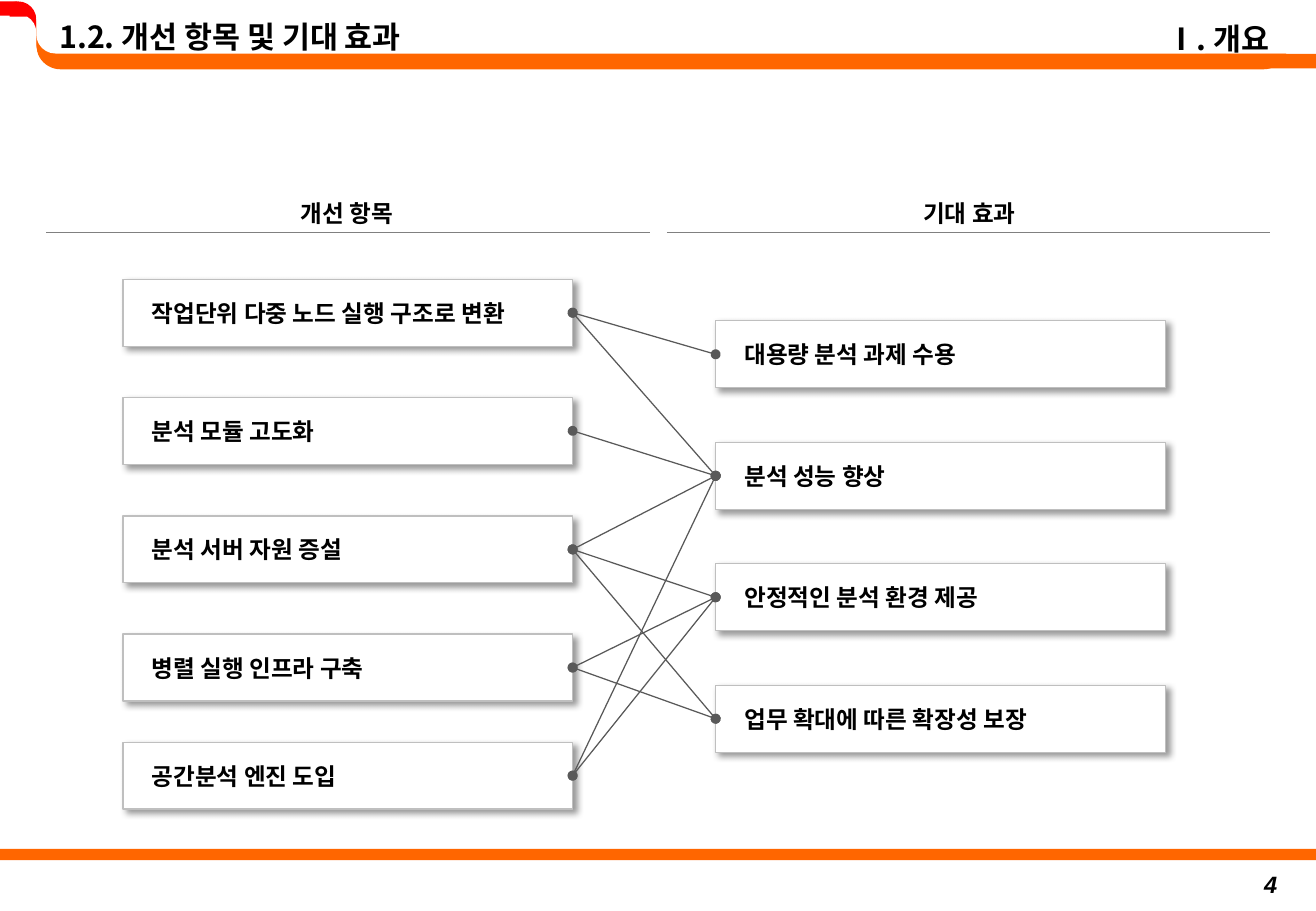
from lxml import etree
from pptx import Presentation
from pptx import util as u
from pptx.dml.color import RGBColor
from pptx.enum import shapes, text
from pptx.oxml import ns

# Content
TITLE = "1.2. 개선 항목 및 기대 효과"
CHAPTER = "Ⅰ. 개요"
PAGE = "4"
IMPROVEMENTS = {
    "heading": "개선 항목", "heading_left": 2.08, "rule": (0.97, 13.59),
    "box_left": 2.57, "tops": [5.84, 8.31, 10.79, 13.26, 15.52],
    "items": ["작업단위 다중 노드 실행 구조로 변환", "분석 모듈 고도화",
              "분석 서버 자원 증설", "병렬 실행 인프라 구축", "공간분석 엔진 도입"],
}
EFFECTS = {
    "heading": "기대 효과", "heading_left": 15.09, "rule": (13.94, 26.54),
    "box_left": 14.96, "tops": [6.71 + 2.54 * row for row in range(4)],
    "items": ["대용량 분석 과제 수용", "분석 성능 향상",
              "안정적인 분석 환경 제공", "업무 확대에 따른 확장성 보장"],
}
# Effects reached by each improvement, by position
LINKS = [(0, 1), (1,), (1, 2, 3), (2, 3), (1, 2)]

RED, ORANGE, WHITE, BLACK = "FF0000", "FF6600", "FFFFFF", "000000"
GRAY, BORDER, LINK = "808080", "BFBFBF", "595959"
KOREAN = "Noto Sans CJK KR"
BOX_WIDTH, BOX_HEIGHT = 9.4, 1.4
RULE_TOP = 4.86
PAD = (0.25, 0.13, 0.25, 0.13)
SLIDE_WIDTH = 27.51

# Frame bands: left, top, width, height, colour, corner, rotation
BANDS = [
    (0, 0.03, 0.76, 1.35, RED, 0.5, 0),
    (0, 0.3, 0.76, 1.19, WHITE, 0.5, 0),
    (0.76, 0.03, 26.16, 1.42, ORANGE, 0.357, 0),
    (0.76, 0, 26.75, 1.12, WHITE, 0.357, 0),
    (25.2, 1.13, 2.31, 0.3, ORANGE, None, 0),
    (0, 0.3, 0.48, 0.99, WHITE, None, 0),
    (0, 0.03, 0.36, 0.3, RED, None, 0),
    (0.2, 0.15, 0.36, 0.2, RED, None, 0),
    (0.3, 0.97, 0.48, 0.28, WHITE, None, 349.4),
    (0, 17.75, SLIDE_WIDTH, 0.24, ORANGE, None, 0),
]

presentation = Presentation()
presentation.slide_width, presentation.slide_height = u.Cm(SLIDE_WIDTH), u.Cm(19.05)
slide = presentation.slides.add_slide(presentation.slide_layouts[6])


def color(value):
    return RGBColor.from_string(value)


def add_child(parent, tag, **attributes):
    return etree.SubElement(parent, ns.qn(tag), attributes)


def add_block(left, top, width, height, fill, corner=None, rotation=0):
    kind = shapes.MSO_SHAPE.RECTANGLE if corner is None else shapes.MSO_SHAPE.ROUNDED_RECTANGLE
    shape = slide.shapes.add_shape(kind, u.Cm(left), u.Cm(top), u.Cm(width), u.Cm(height))
    if corner is not None:
        shape.adjustments[0] = corner
    shape.rotation = rotation
    shape.shadow.inherit = False
    shape.fill.solid()
    shape.fill.fore_color.rgb = color(fill)
    shape.line.fill.background()
    return shape


def write(shape, words, size, font=KOREAN, align=text.PP_ALIGN.LEFT,
          anchor=text.MSO_ANCHOR.TOP, pad=PAD, wrap=True, italic=False):
    frame = shape.text_frame
    frame.word_wrap = wrap
    frame.vertical_anchor = anchor
    frame.margin_left, frame.margin_top, frame.margin_right, frame.margin_bottom = map(u.Cm, pad)
    paragraph = frame.paragraphs[0]
    paragraph.alignment = align
    run = paragraph.add_run()
    run.text = words
    run.font.name, run.font.size = font, u.Pt(size)
    run.font.bold, run.font.italic = True, italic
    run.font.color.rgb = color(BLACK)
    add_child(run.font._element, "a:ea", typeface=KOREAN)


def add_text(left, top, width, height, words, size, **style):
    box = slide.shapes.add_textbox(u.Cm(left), u.Cm(top), u.Cm(width), u.Cm(height))
    write(box, words, size, **style)


def add_line(start, end, line_color, width):
    line = slide.shapes.add_connector(shapes.MSO_CONNECTOR.STRAIGHT, *map(u.Cm, start + end))
    line.line.color.rgb = color(line_color)
    line.line.width = u.Pt(width)
    add_child(line._element.spPr, "a:effectLst")
    return line


def add_item(left, top, words):
    box = add_block(left, top, BOX_WIDTH, BOX_HEIGHT, WHITE)
    box.line.color.rgb = color(BORDER)
    box.line.width = u.Pt(0.75)
    effects = box._element.spPr.find(ns.qn("a:effectLst"))
    shadow = add_child(effects, "a:outerShdw", blurRad=str(u.Pt(4)), dist=str(u.Pt(3)),
                       dir="2700000", algn="tl", rotWithShape="0")
    add_child(add_child(shadow, "a:srgbClr", val=BLACK), "a:alpha", val="40000")
    write(box, words, 14, font="Times New Roman", anchor=text.MSO_ANCHOR.MIDDLE,
          pad=(0.6, 0.13, 0.25, 0.13))
    return box


def add_column(column):
    add_text(column["heading_left"], 4.01, 10.35, 0.74, column["heading"], 14,
             align=text.PP_ALIGN.CENTER, anchor=text.MSO_ANCHOR.BOTTOM,
             pad=(0, 0, 0, 0), wrap=False)
    start, end = column["rule"]
    add_line((start, RULE_TOP), (end, RULE_TOP), GRAY, 1)
    return [add_item(column["box_left"], top, words)
            for top, words in zip(column["tops"], column["items"])]


# Frame, title and page number
for band in BANDS:
    add_block(*band)
add_text(21.21, 18.06, 5.74, 0.79, PAGE, 14, font="Arial",
         align=text.PP_ALIGN.RIGHT, italic=True)
add_text(0.99, 0.25, 16.1, 1.19, TITLE, 18)
add_text(21.06, 0.2, 5.72, 1.19, CHAPTER, 18, align=text.PP_ALIGN.RIGHT,
         anchor=text.MSO_ANCHOR.MIDDLE)

# Both columns
improvement_boxes = add_column(IMPROVEMENTS)
effect_boxes = add_column(EFFECTS)

# Links from the right side of an improvement to the left side of an effect
for improvement, targets in zip(improvement_boxes, LINKS):
    for target in targets:
        link = add_line((0, 0), (1, 1), LINK, 0.75)
        link.begin_connect(improvement, 3)
        link.end_connect(effect_boxes[target], 1)
        outline = link._element.spPr.find(ns.qn("a:ln"))
        for end_tag in ("a:headEnd", "a:tailEnd"):
            add_child(outline, end_tag, type="oval")

presentation.save("out.pptx")
